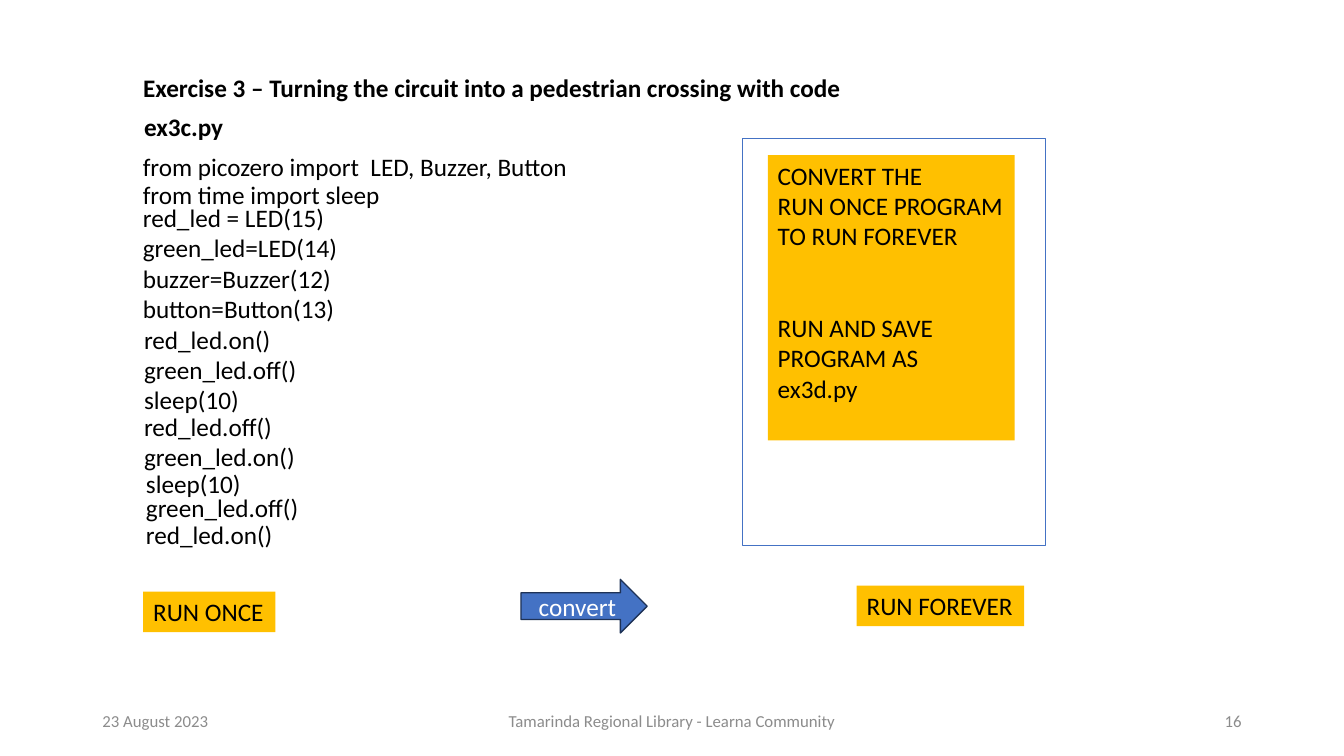
from dataclasses import dataclass

from pptx import Presentation
from pptx.dml.color import RGBColor
from pptx.enum.shapes import MSO_SHAPE
from pptx.enum.text import MSO_ANCHOR, MSO_AUTO_SIZE, PP_ALIGN
from pptx.util import Cm, Pt


@dataclass(frozen=True)
class Theme:
    font: str = "Calibri"
    body_size: float = 18
    footer_size: float = 12
    black: str = "000000"
    white: str = "FFFFFF"
    grey: str = "8C8C8C"
    amber: str = "FFC000"
    blue: str = "4472C4"
    navy: str = "1E3256"


class ExerciseSlide:
    LINE_HEIGHT = 1.02

    def __init__(self, prs, theme):
        self.theme = theme
        self.s = prs.slides.add_slide(prs.slide_layouts[5])

    def set_text(self, sp, text, size=None, color=None, bold=False,
                 align=PP_ALIGN.LEFT, anchor=MSO_ANCHOR.TOP, wrap=True):
        tf = sp.text_frame
        tf.text = text
        tf.word_wrap = wrap
        tf.auto_size = MSO_AUTO_SIZE.NONE if wrap else MSO_AUTO_SIZE.SHAPE_TO_FIT_TEXT
        tf.vertical_anchor = anchor
        for p in tf.paragraphs:
            p.alignment = align
            for r in p.runs:
                r.font.name = self.theme.font
                r.font.size = Pt(size or self.theme.body_size)
                r.font.bold = bold
                r.font.color.rgb = RGBColor.from_string(color or self.theme.black)

    def title(self, text, x, y, w):
        sp = self.s.shapes.title
        sp.left, sp.top, sp.width, sp.height = map(Cm, (x, y, w, self.LINE_HEIGHT))
        self.set_text(sp, text, bold=True)

    def text(self, text, x, y, w, h=LINE_HEIGHT, **style):
        sp = self.s.shapes.add_textbox(Cm(x), Cm(y), Cm(w), Cm(h))
        self.set_text(sp, text, **style)

    def shape(self, kind, x, y, w, h, fill=None, line=None, line_width=0.75):
        sp = self.s.shapes.add_shape(kind, Cm(x), Cm(y), Cm(w), Cm(h))
        sp.shadow.inherit = False
        if fill:
            sp.fill.solid()
            sp.fill.fore_color.rgb = RGBColor.from_string(fill)
        else:
            sp.fill.background()
        if line:
            sp.line.color.rgb = RGBColor.from_string(line)
            sp.line.width = Pt(line_width)
        else:
            sp.line.fill.background()
        return sp

    def label(self, text, x, y, w, h=LINE_HEIGHT):
        sp = self.shape(MSO_SHAPE.RECTANGLE, x, y, w, h, fill=self.theme.amber)
        self.set_text(sp, text, wrap=False)
        return sp

    def arrow(self, text, x, y, w, h):
        sp = self.shape(MSO_SHAPE.RIGHT_ARROW, x, y, w, h,
                        fill=self.theme.blue, line=self.theme.navy, line_width=1)
        self.set_text(sp, text, color=self.theme.white,
                      align=PP_ALIGN.CENTER, anchor=MSO_ANCHOR.MIDDLE)

    def footer(self, text, x, w, align):
        self.text(text, x, 17.65, w, size=self.theme.footer_size,
                  color=self.theme.grey, align=align, anchor=MSO_ANCHOR.MIDDLE)


# Code blocks: text, left, top, width, height
CODE = [
    ("from picozero import  LED, Buzzer, Button", 3.35, 3.68, 11.35, 1.02),
    ("from time import sleep", 3.35, 4.39, 6.55, 1.02),
    ("red_led = LED(15)\ngreen_led=LED(14)\nbuzzer=Buzzer(12)\nbutton=Button(13)",
     3.35, 4.98, 5.49, 3.33),
    ("red_led.on()\ngreen_led.off()", 3.38, 8.05, 4.42, 1.8),
    ("sleep(10)", 3.38, 9.55, 2.97, 1.02),
    ("red_led.off()", 3.38, 10.24, 3.78, 1.02),
    ("green_led.on()", 3.38, 11.0, 4.37, 1.02),
    ("sleep(10)", 3.43, 11.68, 2.92, 1.02),
    ("green_led.off()", 3.43, 12.29, 4.42, 1.02),
    ("red_led.on()", 3.43, 12.95, 3.73, 1.02),
]
TASK = ("CONVERT THE\nRUN ONCE PROGRAM\nTO RUN FOREVER\n"
        "RUN AND SAVE\nPROGRAM AS\nex3d.py")


def main():
    prs = Presentation()
    prs.slide_width, prs.slide_height = Cm(33.87), Cm(19.05)
    theme = Theme()
    slide = ExerciseSlide(prs, theme)

    # Footer
    slide.footer("23 August 2023", 2.33, 7.62, PP_ALIGN.LEFT)
    slide.footer("Tamarinda Regional Library - Learna Community", 11.22, 11.43,
                 PP_ALIGN.CENTER)
    slide.footer("16", 23.92, 7.62, PP_ALIGN.RIGHT)

    # Heading and program listing
    slide.title("Exercise 3 – Turning the circuit into a pedestrian crossing with code",
                3.35, 1.7, 19.18)
    slide.text("ex3c.py", 3.38, 2.69, 2.51, bold=True, wrap=False)
    for text, x, y, w, h in CODE:
        slide.text(text, x, y, w, h, wrap=False)

    # Conversion from run once to run forever
    slide.label("RUN ONCE", 3.61, 14.91, 3.33)
    slide.arrow("convert", 13.13, 14.6, 3.18, 1.35)
    slide.label("RUN FOREVER", 21.59, 14.76, 4.22)

    # Task panel, with a two-line gap before the second instruction
    slide.shape(MSO_SHAPE.RECTANGLE, 18.72, 3.48, 7.62, 10.26, line=theme.blue)
    task = slide.label(TASK, 19.35, 3.91, 6.22, 7.19)
    task.text_frame.auto_size = MSO_AUTO_SIZE.NONE
    task.text_frame.paragraphs[3].space_before = Pt(44)

    prs.save("out.pptx")


if __name__ == "__main__":
    main()
